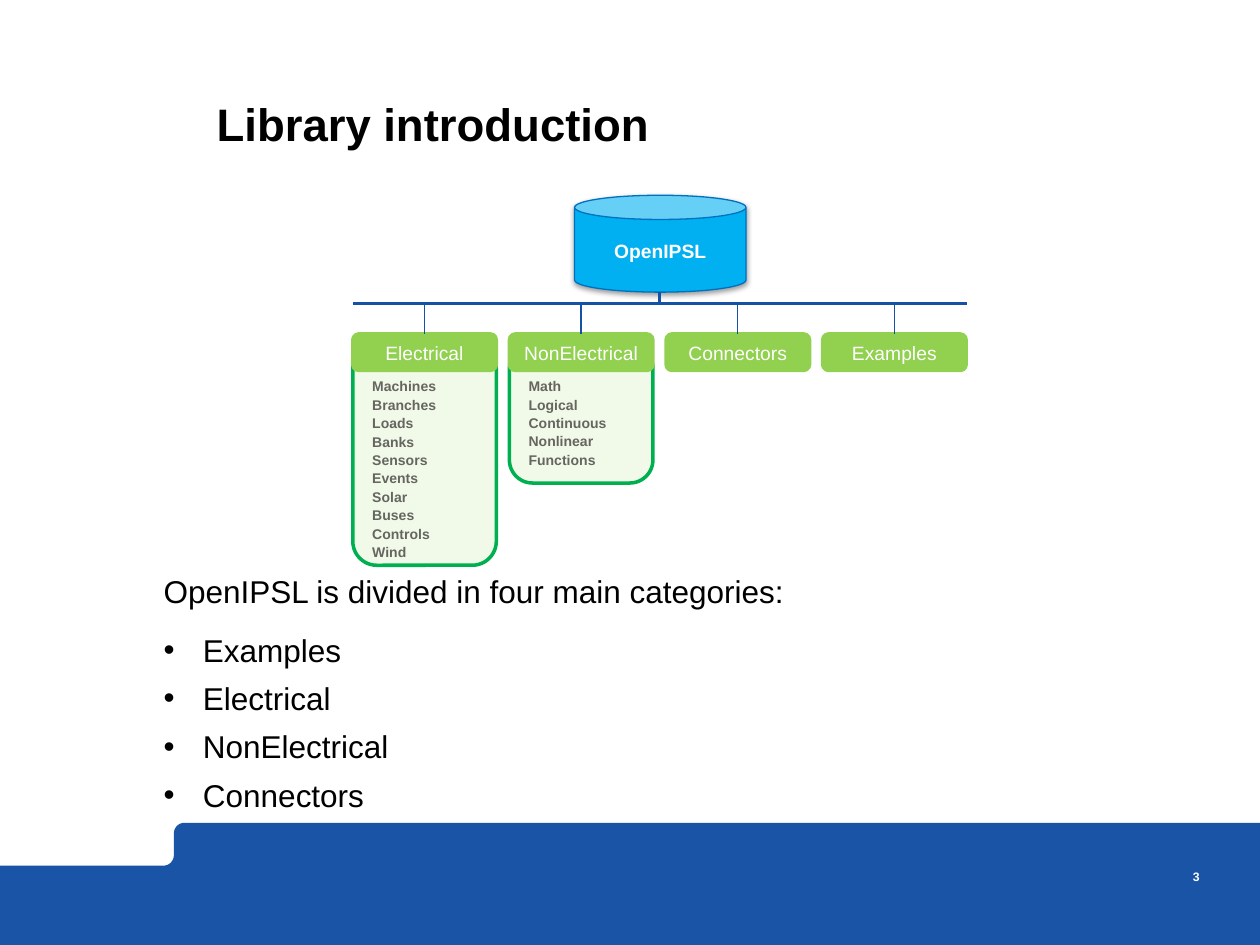
import math
from dataclasses import dataclass

from lxml import etree
from pptx import Presentation
from pptx import util as u
from pptx.dml.color import RGBColor
from pptx.enum import shapes, text
from pptx.oxml import ns

Pt = u.Pt
FONT = "Arial"
NAVY, BLUE, GREEN, DARK_GREEN = "1954A6", "1552A6", "92D050", "00B050"
BLACK, WHITE, GRAY = "000000", "FFFFFF", "666660"


@dataclass(frozen=True)
class Category:
    name: str
    packages: tuple[str, ...] = ()
    height: float = 0


@dataclass(frozen=True)
class Style:
    size: float
    color: str
    bold: bool = False
    align: text.PP_ALIGN = text.PP_ALIGN.LEFT
    spacing: float | u.Length | None = None


CATEGORIES = (
    Category("Electrical", ("Machines", "Branches", "Loads", "Banks", "Sensors",
                            "Events", "Solar", "Buses", "Controls", "Wind"), 126),
    Category("NonElectrical", ("Math", "Logical", "Continuous", "Nonlinear",
                               "Functions"), 79),
    Category("Connectors"),
    Category("Examples"),
)
BULLETS = ("Examples", "Electrical", "NonElectrical", "Connectors")

LEFT, PITCH, WIDTH = 201.6, 89.5, 82
HEADER_TOP, HEADER_HEIGHT, BODY_TOP = 190.8, 20.9, 197
BUS_Y = 173.5

LABEL = Style(11, WHITE, align=text.PP_ALIGN.CENTER, spacing=1.1)
ROOT = Style(11, WHITE, True, text.PP_ALIGN.CENTER, 1.1)
PACKAGE = Style(8, GRAY, True, spacing=1.1)
TITLE = Style(26, BLACK, True, spacing=Pt(30))
NUMBER = Style(7, WHITE, True, text.PP_ALIGN.RIGHT)
BODY = Style(18, BLACK)


def rgb(value: str) -> RGBColor:
    return RGBColor.from_string(value)


def add_run(p, content: str, style: Style) -> None:
    p.alignment = style.align
    if style.spacing:
        p.line_spacing = style.spacing
    r = p.add_run()
    r.text = content
    r.font.name = FONT
    r.font.size = Pt(style.size)
    r.font.bold = style.bold
    r.font.color.rgb = rgb(style.color)


def set_text(sp, lines: tuple[str, ...], style: Style, insets=(0, 0, 0, 0),
             anchor=text.MSO_ANCHOR.TOP) -> list:
    tf = sp.text_frame
    tf.word_wrap = True
    tf.vertical_anchor = anchor
    tf.margin_left, tf.margin_top, tf.margin_right, tf.margin_bottom = map(Pt, insets)
    for i, line in enumerate(lines):
        add_run(tf.add_paragraph() if i else tf.paragraphs[0], line, style)
    return list(tf.paragraphs)


def add_box(s, kind, left: float, top: float, width: float, height: float,
            fill: str, line: str, weight: float):
    sp = s.shapes.add_shape(kind, Pt(left), Pt(top), Pt(width), Pt(height))
    sp.shadow.inherit = False
    sp.fill.solid()
    sp.fill.fore_color.rgb = rgb(fill)
    sp.line.color.rgb = rgb(line)
    sp.line.width = Pt(weight)
    return sp


def add_textbox(s, left: float, top: float, width: float, height: float):
    return s.shapes.add_textbox(Pt(left), Pt(top), Pt(width), Pt(height))


def add_line(s, x1: float, y1: float, x2: float, y2: float, weight: float):
    cxn = s.shapes.add_connector(shapes.MSO_CONNECTOR.STRAIGHT,
                                 Pt(x1), Pt(y1), Pt(x2), Pt(y2))
    cxn.line.color.rgb = rgb(BLUE)
    cxn.line.width = Pt(weight)
    etree.SubElement(cxn._element.spPr, ns.qn("a:effectLst"))
    return cxn


def set_alpha(sp, percent: int) -> None:
    color = sp._element.spPr.find(".//" + ns.qn("a:srgbClr"))
    etree.SubElement(color, ns.qn("a:alpha"), val=str(percent * 1000))


def add_shadow(sp) -> None:
    effects = sp._element.spPr.find(ns.qn("a:effectLst"))
    shadow = etree.SubElement(effects, ns.qn("a:outerShdw"), blurRad=str(Pt(3.1)),
                              dist=str(Pt(1.6)), dir="5400000", rotWithShape="0")
    color = etree.SubElement(shadow, ns.qn("a:srgbClr"), val=BLACK)
    etree.SubElement(color, ns.qn("a:alpha"), val="38000")


def add_bullet(p) -> None:
    pPr = p._p.get_or_add_pPr()
    pPr.set("marL", str(Pt(22.5)))
    pPr.set("indent", str(-Pt(22.5)))
    etree.SubElement(pPr, ns.qn("a:buFont"), typeface=FONT)
    etree.SubElement(pPr, ns.qn("a:buChar"), char="•")


def arc(cx: float, cy: float, radius: float, start: int, end: int) -> list:
    angles = [math.radians(start + (end - start) * i / 8) for i in range(9)]
    return [(cx + radius * math.cos(a), cy + radius * math.sin(a)) for a in angles]


def add_footer(s) -> None:
    step_x, top, low, radius = 99.4, 470.2, 494.7, 6
    points = [
        *arc(step_x - radius, low - radius, radius, 90, 0),
        *arc(step_x + radius, top + radius, radius, 180, 270),
        (720, top), (720, 540), (0, 540),
    ]
    builder = s.shapes.build_freeform(0, Pt(low), scale=1.0)
    builder.add_line_segments([(Pt(x), Pt(y)) for x, y in points], close=True)
    sp = builder.convert_to_shape()
    sp.shadow.inherit = False
    sp.fill.solid()
    sp.fill.fore_color.rgb = rgb(NAVY)
    sp.line.fill.background()


def add_category(s, category: Category, left: float) -> None:
    rounded = shapes.MSO_SHAPE.ROUNDED_RECTANGLE
    if category.packages:
        body = add_box(s, rounded, left, BODY_TOP, WIDTH, category.height,
                       GREEN, DARK_GREEN, 2)
        set_alpha(body, 12)
        set_text(body, category.packages, PACKAGE, (7.2, 14, 0, 0))
    header = add_box(s, rounded, left, HEADER_TOP, WIDTH, HEADER_HEIGHT, GREEN, GREEN, 2)
    set_text(header, (category.name,), LABEL, anchor=text.MSO_ANCHOR.MIDDLE)
    center = left + WIDTH / 2
    drop = add_line(s, center, BUS_Y, center, HEADER_TOP, 0.75)
    drop.end_connect(header, 0)


def add_tree(s) -> None:
    can = add_box(s, shapes.MSO_SHAPE.CAN, 328.3, 111.6, 98, 55.4, "00B0F0", "0070C0", 0.75)
    add_shadow(can)
    set_text(can, ("OpenIPSL",), ROOT, anchor=text.MSO_ANCHOR.MIDDLE)
    for i, category in enumerate(CATEGORIES):
        add_category(s, category, LEFT + i * PITCH)
    add_line(s, LEFT, BUS_Y, 552.8, BUS_Y, 2)
    add_line(s, 376.8, 167, 376.8, BUS_Y, 2)


def add_summary(s) -> None:
    sp = add_textbox(s, 86.4, 323.3, 635.6, 146.9)
    lines = ("OpenIPSL is divided in four main categories:", *BULLETS)
    intro, *items = set_text(sp, lines, BODY, (7.2, 3.6, 7.2, 3.6))
    intro.space_after = Pt(12)
    for p in items:
        p.space_after = Pt(6)
        add_bullet(p)


def main() -> None:
    prs = Presentation()
    prs.slide_width, prs.slide_height = Pt(720), Pt(540)
    s = prs.slides.add_slide(prs.slide_layouts[6])
    add_footer(s)
    set_text(add_textbox(s, 123.8, 56.2, 546.5, 52.6), ("Library introduction",), TITLE)
    set_text(add_textbox(s, 643.7, 496.8, 41.8, 28.8), ("3",), NUMBER)
    add_summary(s)
    add_tree(s)
    prs.save("out.pptx")


if __name__ == "__main__":
    main()
